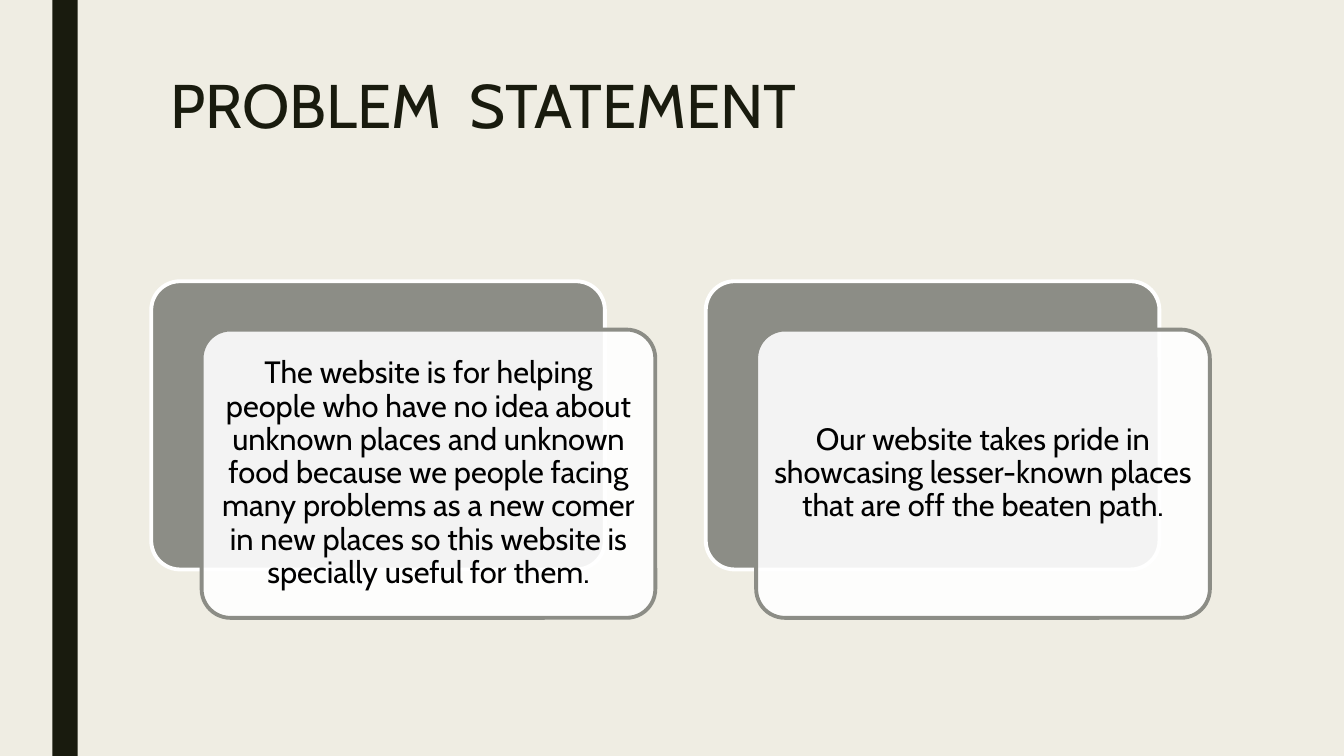
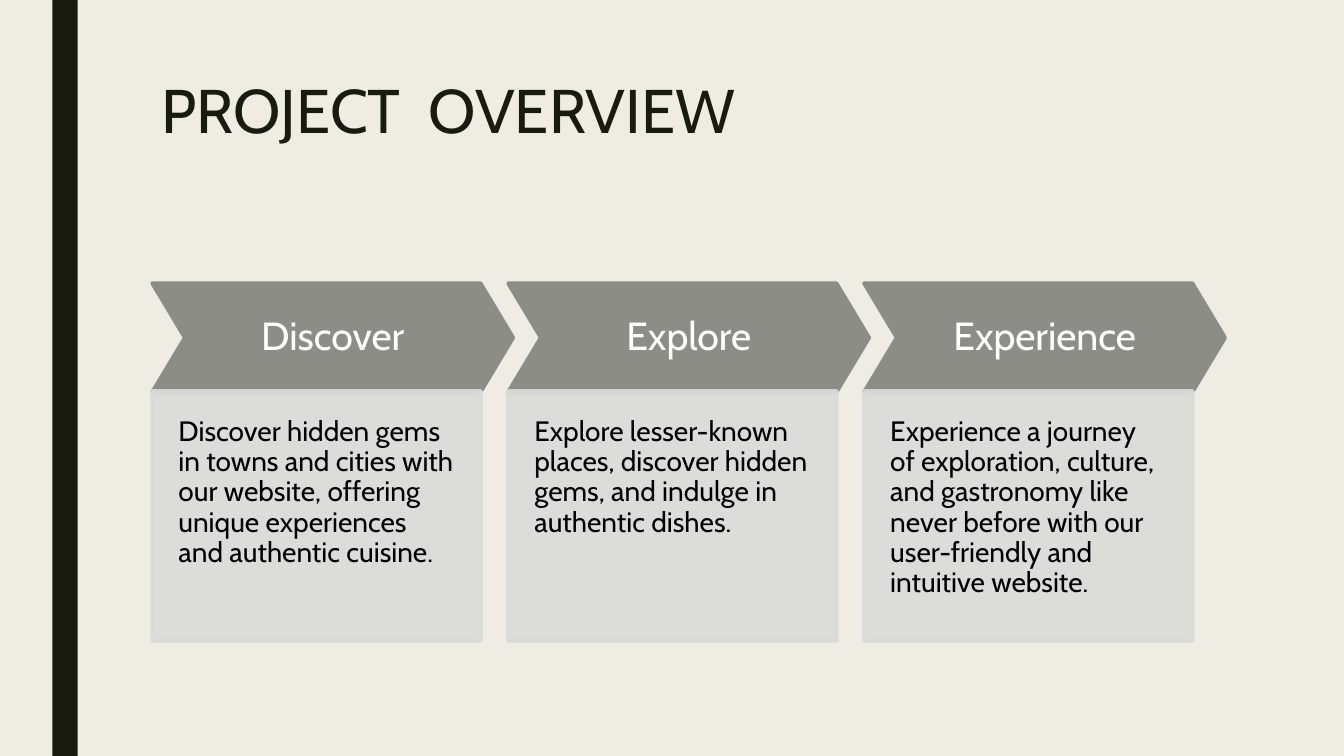
import dataclasses

import lxml.etree
import pptx
import pptx.dml.color
import pptx.enum.shapes
import pptx.enum.text
import pptx.oxml.ns
import pptx.util

Inches = pptx.util.Inches
Shape = pptx.enum.shapes.MSO_SHAPE
Align = pptx.enum.text.PP_ALIGN
Anchor = pptx.enum.text.MSO_ANCHOR


@dataclasses.dataclass(frozen=True)
class Theme:
    font: str = "Cabin"
    paper: str = "EFEDE3"
    ink: str = "191B0E"
    gray: str = "8C8D86"
    pale: str = "DADBD9"
    white: str = "FFFFFF"
    black: str = "000000"
    title_size: float = 44
    heading_size: float = 28
    card_size: float = 22
    body_size: float = 20
    outline: float = 2.75
    line_spacing: float = 0.9
    opacity: int = 90


class Slides:
    """Holds the style, the deck and the current page."""

    def __init__(self, theme):
        self.theme = theme
        self.deck = pptx.Presentation()
        self.deck.slide_width = Inches(13.33)
        self.deck.slide_height = Inches(7.5)
        self.page = None

    def new_page(self, title, left, top):
        """Start a page with background, side band and title."""
        self.page = self.deck.slides.add_slide(self.deck.slide_layouts[6])
        self.paint(self.page.background.fill, self.theme.paper)
        self.shape(Shape.RECTANGLE, 0.52, 0, 0.25, 7.5, self.theme.ink)
        box = self.page.shapes.add_textbox(
            Inches(left), Inches(top), Inches(10.5), Inches(1.62))
        self.set_text(box, title, self.theme.title_size, self.theme.ink,
                      insets=(0.1, 0.05, 0.1, 0.05))

    def color(self, code):
        return pptx.dml.color.RGBColor.from_string(code)

    def paint(self, fill, code):
        fill.solid()
        fill.fore_color.rgb = self.color(code)

    def set_opacity(self, parent, percent):
        """Make the solid fill directly under an element see-through."""
        color = parent.find(pptx.oxml.ns.qn("a:solidFill"))[0]
        alpha = lxml.etree.SubElement(color, pptx.oxml.ns.qn("a:alpha"))
        alpha.set("val", str(percent * 1000))

    def shape(self, kind, left, top, width, height, fill, line=None,
              opacity=100, line_opacity=100, adjust=None):
        shape = self.page.shapes.add_shape(
            kind, Inches(left), Inches(top), Inches(width), Inches(height))
        shape.shadow.inherit = False
        if adjust is not None:
            shape.adjustments[0] = adjust
        self.paint(shape.fill, fill)
        if line is None:
            shape.line.fill.background()
        else:
            shape.line.width = pptx.util.Pt(self.theme.outline)
            self.paint(shape.line.fill, line)
        properties = shape.element.spPr
        if opacity < 100:
            self.set_opacity(properties, opacity)
        if line_opacity < 100:
            self.set_opacity(properties.find(pptx.oxml.ns.qn("a:ln")),
                             line_opacity)
        return shape

    def set_text(self, shape, text, size, color, insets,
                 align=Align.LEFT, anchor=Anchor.TOP):
        """Set one styled paragraph; insets run left, top, right, bottom."""
        frame = shape.text_frame
        frame.word_wrap = True
        frame.vertical_anchor = anchor
        (frame.margin_left, frame.margin_top,
         frame.margin_right, frame.margin_bottom) = map(Inches, insets)
        para = frame.paragraphs[0]
        para.text = text
        para.alignment = align
        para.line_spacing = self.theme.line_spacing
        para.font.name = self.theme.font
        para.font.size = pptx.util.Pt(size)
        para.font.color.rgb = self.color(color)

    def card(self, left, top, text):
        """A white card set off from the gray card behind it."""
        theme = self.theme
        width, height = 4.5, 2.86
        self.shape(Shape.ROUNDED_RECTANGLE, left, top, width, height,
                   theme.gray, theme.white, adjust=0.1)
        front = self.shape(Shape.ROUNDED_RECTANGLE, left + 0.5, top + 0.48,
                           width, height, theme.white, theme.gray,
                           opacity=theme.opacity, adjust=0.1)
        self.set_text(front, text, theme.card_size, theme.black, (0.09,) * 4,
                      Align.CENTER, Anchor.MIDDLE)

    def step(self, left, top, heading, text):
        """A chevron heading above a pale panel."""
        theme = self.theme
        chevron = self.shape(Shape.CHEVRON, left, top, 3.58, 1.08,
                             theme.gray, theme.gray, adjust=0.3)
        self.set_text(chevron, heading, theme.heading_size, theme.white,
                      (0.13,) * 4, Align.CENTER, Anchor.MIDDLE)
        panel = self.shape(Shape.RECTANGLE, left, top + 1.07, 3.26, 2.48,
                           theme.pale, theme.pale, theme.opacity, theme.opacity)
        self.set_text(panel, text, theme.body_size, theme.black,
                      (0.26, 0.26, 0.26, 0.52))


PROBLEMS = [
    "The website is for helping people who have no idea about unknown places "
    "and unknown food because we people facing many problems as a new comer "
    "in new places so this website is specially useful for them.",
    "Our website takes pride in showcasing lesser-known places that are off "
    "the beaten path.",
]

STEPS = [
    ("Discover", "Discover hidden gems in towns and cities with our website, "
     "offering unique experiences and authentic cuisine."),
    ("Explore", "Explore lesser-known places, discover hidden gems, and "
     "indulge in authentic dishes."),
    ("Experience", "Experience a journey of exploration, culture, and "
     "gastronomy like never before with our user-friendly and intuitive "
     "website."),
]


def main():
    slides = Slides(Theme())

    # Problem statement: two layered cards
    slides.new_page("PROBLEM  STATEMENT", 1.59, 0.7)
    for index, text in enumerate(PROBLEMS):
        slides.card(1.5 + 5.5 * index, 2.79, text)

    # Project overview: three steps
    slides.new_page("PROJECT  OVERVIEW", 1.5, 0.75)
    for index, (heading, text) in enumerate(STEPS):
        slides.step(1.51 + 3.53 * index, 2.81, heading, text)

    slides.deck.save("out.pptx")


if __name__ == "__main__":
    main()
